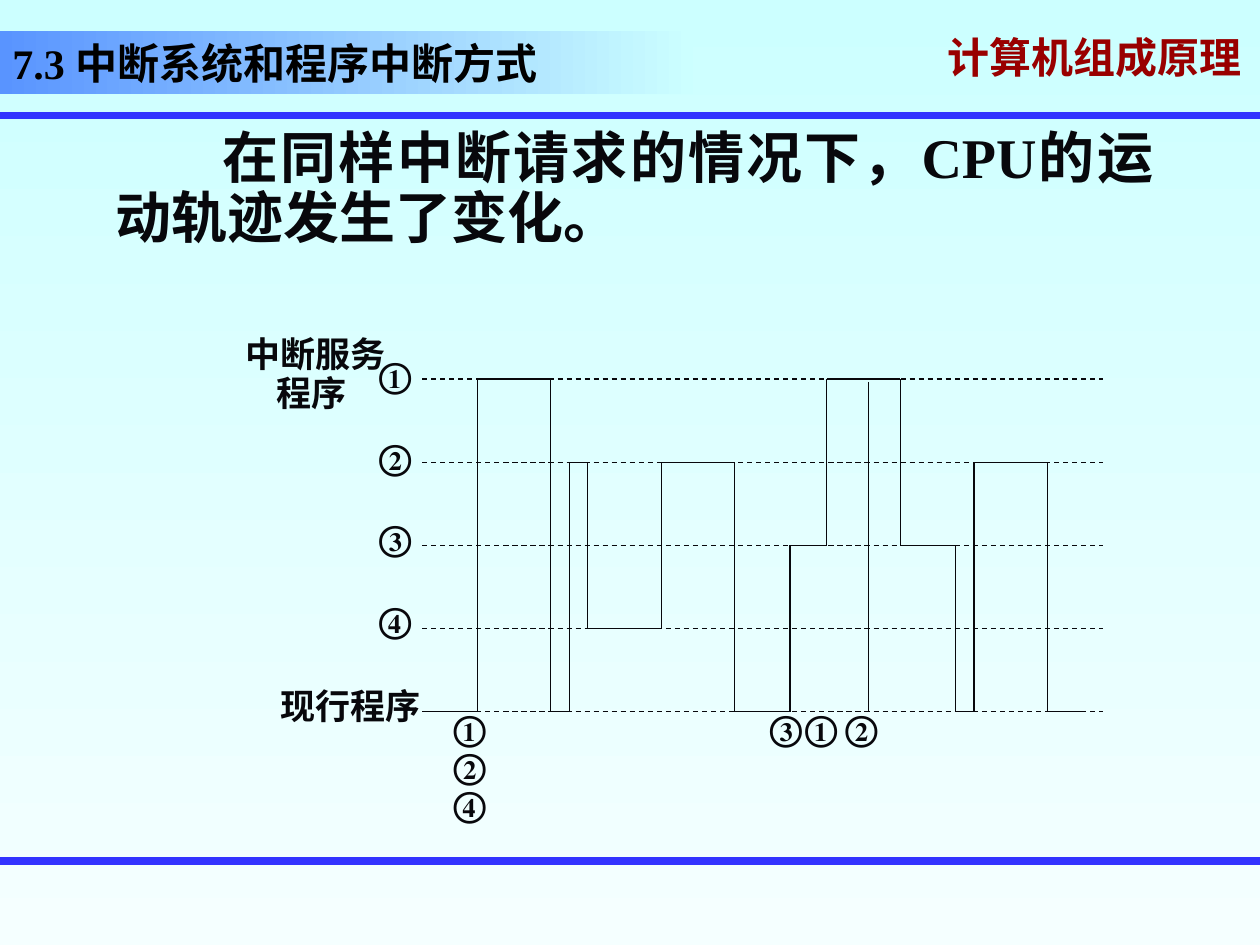
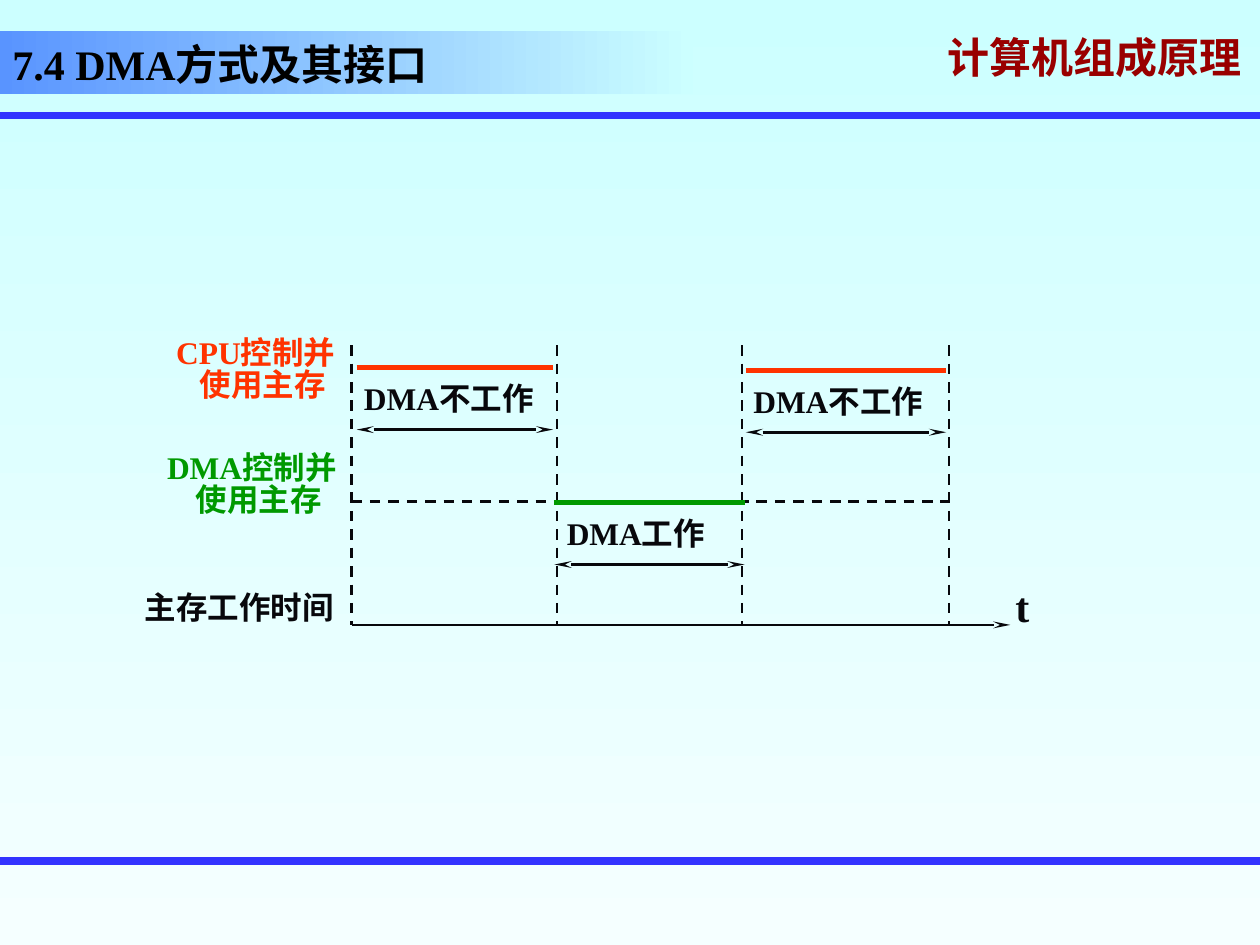
from dataclasses import dataclass
from itertools import pairwise

from lxml import etree
from pptx import Presentation
from pptx.dml.color import RGBColor
from pptx.enum import dml, shapes, text
from pptx.oxml.ns import qn
from pptx.util import Pt

INK = RGBColor(0x08, 0x08, 0x0C)
BLACK = RGBColor(0, 0, 0)
BLUE = RGBColor(0x33, 0x33, 0xFF)
BAND = RGBColor(0x59, 0x94, 0xFF)
SKY = RGBColor(0xCC, 0xFF, 0xFF)
PALE = RGBColor(0xF5, 0xFF, 0xFF)
MAROON = RGBColor(0x99, 0, 0)
RED = RGBColor(0xFF, 0x33, 0)
GREEN = RGBColor(0, 0x99, 0)
LATIN = "Times New Roman"
HAN = "Noto Sans CJK SC"
WIDE, HIGH = 720, 540
MID = text.PP_ALIGN.CENTER


@dataclass
class Para:
    words: str
    space: float = 1.0
    before: float = 0
    left: float = 0
    first: float = 0


@dataclass
class Label:
    left: float
    top: float
    width: float
    height: float
    paras: list[Para]
    size: float = 20
    color: RGBColor = INK
    align: text.PP_ALIGN = text.PP_ALIGN.LEFT
    anchor: text.MSO_ANCHOR = text.MSO_ANCHOR.TOP
    latin: str = LATIN
    han: str = HAN


@dataclass
class Phase:
    """A span of memory time: coloured bar, label and double arrow."""
    start: float
    end: float
    top: float
    words: str
    color: RGBColor
    left: float


def blend(fill, start: RGBColor, end: RGBColor, angle: float) -> None:
    fill.gradient()
    fill.gradient_angle = angle
    for stop, color in zip(fill.gradient_stops, (start, end)):
        stop.color.rgb = color


def write(shape, label: Label) -> None:
    frame = shape.text_frame
    frame.word_wrap = True
    frame.vertical_anchor = label.anchor
    frame.text = "\n".join(p.words for p in label.paras)
    for para, item in zip(frame.paragraphs, label.paras):
        para.alignment = label.align
        para.line_spacing = item.space
        para.space_before = Pt(item.before)
        props = para._p.get_or_add_pPr()
        props.set("marL", str(Pt(item.left)))
        props.set("indent", str(Pt(item.first)))
        for run in para.runs:
            font = run.font
            font.size, font.bold, font.name = Pt(label.size), True, label.latin
            font.color.rgb = label.color
            east = etree.SubElement(run._r.get_or_add_rPr(), qn("a:ea"))
            east.set("typeface", label.han)


def add_label(slide, label: Label):
    box = slide.shapes.add_textbox(
        Pt(label.left), Pt(label.top), Pt(label.width), Pt(label.height))
    write(box, label)
    return box


def add_line(slide, x: float, y: float, end: float, low: float,
             color: RGBColor = INK, width: float = 1.5,
             dash: bool = False, tips: tuple[str, ...] = ()) -> None:
    line = slide.shapes.add_connector(
        shapes.MSO_CONNECTOR.STRAIGHT, Pt(x), Pt(y), Pt(end), Pt(low))
    line.line.color.rgb = color
    line.line.width = Pt(width)
    if dash:
        line.line.dash_style = dml.MSO_LINE.DASH
    for tip in tips:
        etree.SubElement(line.line._get_or_add_ln(), qn(tip),
                         type="stealth", w="sm", len="lg")
    etree.SubElement(line._element.spPr, qn("a:effectLst"))


def cast(box) -> None:
    """Give the text of a box a small shadow."""
    for run in box.text_frame.paragraphs[0].runs:
        effect = etree.Element(qn("a:effectLst"))
        shade = etree.SubElement(effect, qn("a:outerShdw"),
                                 dist=str(Pt(1.5)), dir="2700000")
        etree.SubElement(shade, qn("a:srgbClr"), val="808080")
        run._r.get_or_add_rPr().find(qn("a:solidFill")).addnext(effect)


def add_base(deck, title: str, space: float = 1.0):
    """Add a slide with the shared background, rules, course name and title."""
    slide = deck.slides.add_slide(deck.slide_layouts[6])
    blend(slide.background.fill, SKY, PALE, 270)
    cast(add_label(slide, Label(
        534.2, 18, 185.8, 36, [Para("计算机组成原理", 0.7)], 24, MAROON,
        anchor=text.MSO_ANCHOR.MIDDLE, latin=HAN)))
    for y in (66, 491.8):
        add_line(slide, 0, y, WIDE, y, BLUE, 4.5)
    band = slide.shapes.add_shape(
        shapes.MSO_SHAPE.RECTANGLE, 0, Pt(18), Pt(396), Pt(36))
    band.shadow.inherit = False
    band.line.fill.background()
    blend(band.fill, BAND, SKY, 0)
    write(band, Label(0, 18, 396, 36, [Para(title, space)], 24, BLACK,
                      anchor=text.MSO_ANCHOR.BOTTOM))
    return slide


def add_mark(slide, left: float, top: float, words: str) -> None:
    add_label(slide, Label(left, top, 105, 31.7, [Para(words)], han=LATIN))


def draw_trace(deck) -> None:
    slide = add_base(deck, "7.3 中断系统和程序中断方式")
    add_label(slide, Label(
        31.7, 70.6, 634.3, 404.6,
        [Para("在同样中断请求的情况下，CPU的运动轨迹发生了变化。", 0.9,
              left=27.4, first=61)],
        32, align=text.PP_ALIGN.JUSTIFY))

    left, top, unit, gap = 241.2, 216.6, 10.51, 47.55
    for level in range(5):
        y = top + level * gap
        add_line(slide, left, y, left + 37 * unit, y, width=0.75, dash=True)

    # (time unit, level) where the running program changes; level 4 is the main one
    stays = [(0, 4), (3, 0), (7, 4), (8, 1), (9, 3), (13, 1), (17, 4), (20, 2),
             (22, 0), (26, 2), (29, 4), (30, 1), (34, 4), (36, 4)]
    turns = [(0, 4)]
    for (_, old), (time, new) in pairwise(stays):
        turns.append((time, old))
        if new != old:
            turns.append((time, new))
    spots = [(left + time * unit, top + level * gap) for time, level in turns]
    for start, end in pairwise(spots):
        add_line(slide, *start, *end, width=0.75)
    add_line(slide, 496.1, 218.2, 496.1, top + 4 * gap, width=0.5)

    add_label(slide, Label(133.2, 186.5, 110.2, 51.1, [
        Para("中断服务"), Para("程序", 0.3, 12.5, 17.5)]))
    add_label(slide, Label(153.4, 387.4, 110.2, 31.7, [Para("现行程序")]))
    for row, words in enumerate("①②③④"):
        add_mark(slide, 209.5, 198.7 + row * 46.5, words)
    for row, words in enumerate("①②④"):
        add_mark(slide, 252, 400.3 + row * 21.6, words)
    for x, words in zip((432.7, 452.9, 475.9), "③①②"):
        add_mark(slide, x, 400.3, words)


def add_phase(slide, phase: Phase) -> None:
    y = phase.top
    add_line(slide, phase.start, y, phase.end, y, phase.color, 3)
    add_line(slide, phase.start, y + 35.3, phase.end, y + 35.3,
             tips=("a:headEnd", "a:tailEnd"))
    add_label(slide, Label(phase.left, y + 2.9, 138, 28.8,
                           [Para(phase.words)], 18))


def draw_timing(deck) -> None:
    slide = add_base(deck, "7.4 DMA方式及其接口", 0.8)
    left, right, axis = 200.9, 542.2, 357.1
    add_line(slide, left, axis, 577.4, axis, tips=("a:tailEnd",))
    add_line(slide, left, 286.6, right, 286.6, dash=True)
    for x in (left, 318.2, 424.1, right):
        add_line(slide, x, 197.3, x, axis, dash=True)

    for x, y, owner, color in ((75.6, 186.5, "CPU", RED),
                               (73.4, 252.7, "DMA", GREEN)):
        add_label(slide, Label(x, y, 141.1, 44.6, [
            Para(owner + "控制并"), Para("使用主存", 0.2, 11.2, 8)],
            18, color, MID))
    add_label(slide, Label(60.5, 332.6, 152.6, 28.8,
                           [Para("主存工作时间")], 18, align=MID))
    add_label(slide, Label(573.1, 328.3, 74.9, 36, [Para("t")], 24))

    for phase in (Phase(203.8, 316.1, 210.2, "DMA不工作", RED, 200.9),
                  Phase(426.2, 540.7, 211.7, "DMA不工作", RED, 423.4),
                  Phase(316.8, 425.5, 287.3, "DMA工作", GREEN, 316.8)):
        add_phase(slide, phase)


def main() -> None:
    deck = Presentation()
    deck.slide_width, deck.slide_height = Pt(WIDE), Pt(HIGH)
    draw_trace(deck)
    draw_timing(deck)
    deck.save("out.pptx")


if __name__ == "__main__":
    main()
